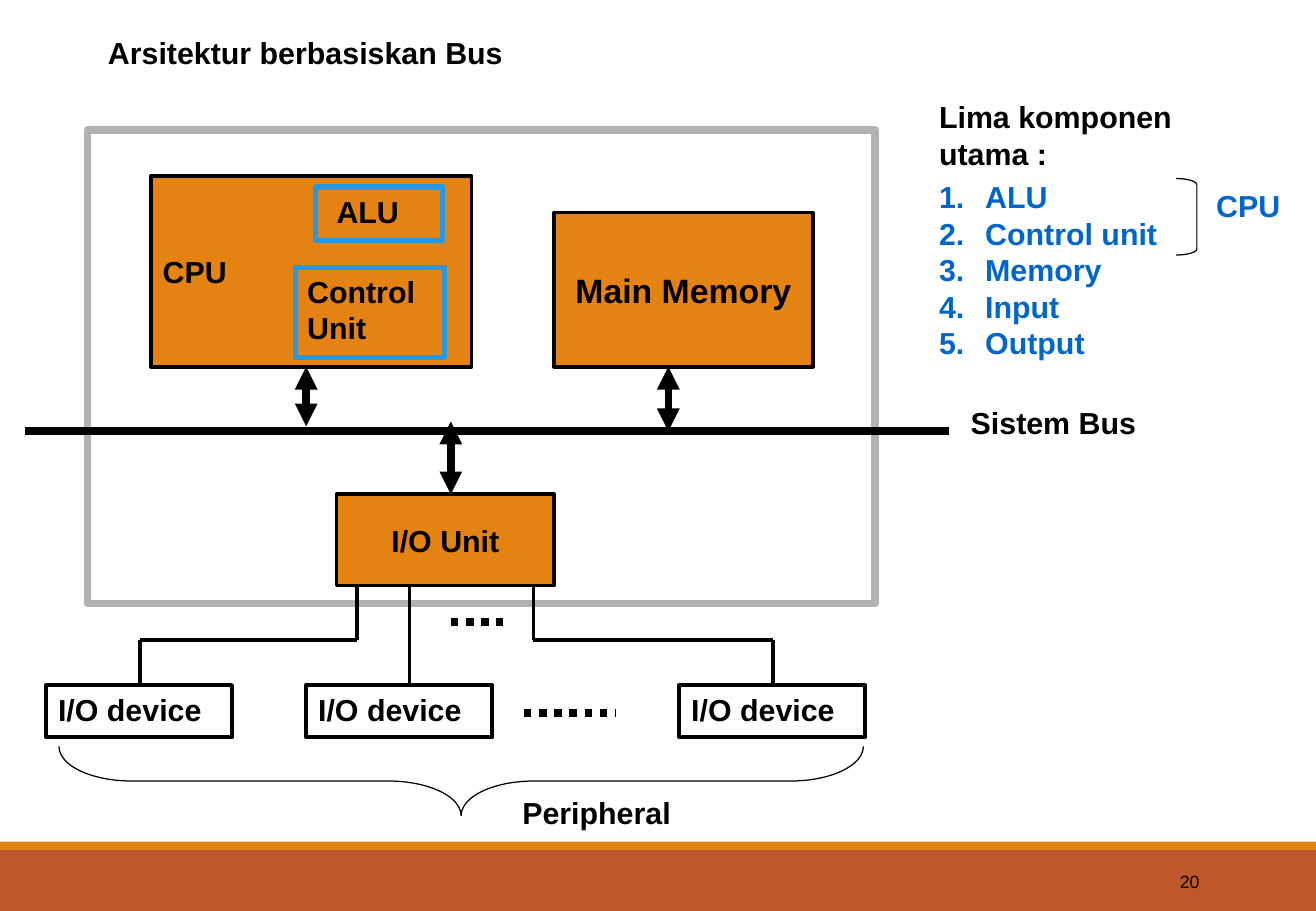
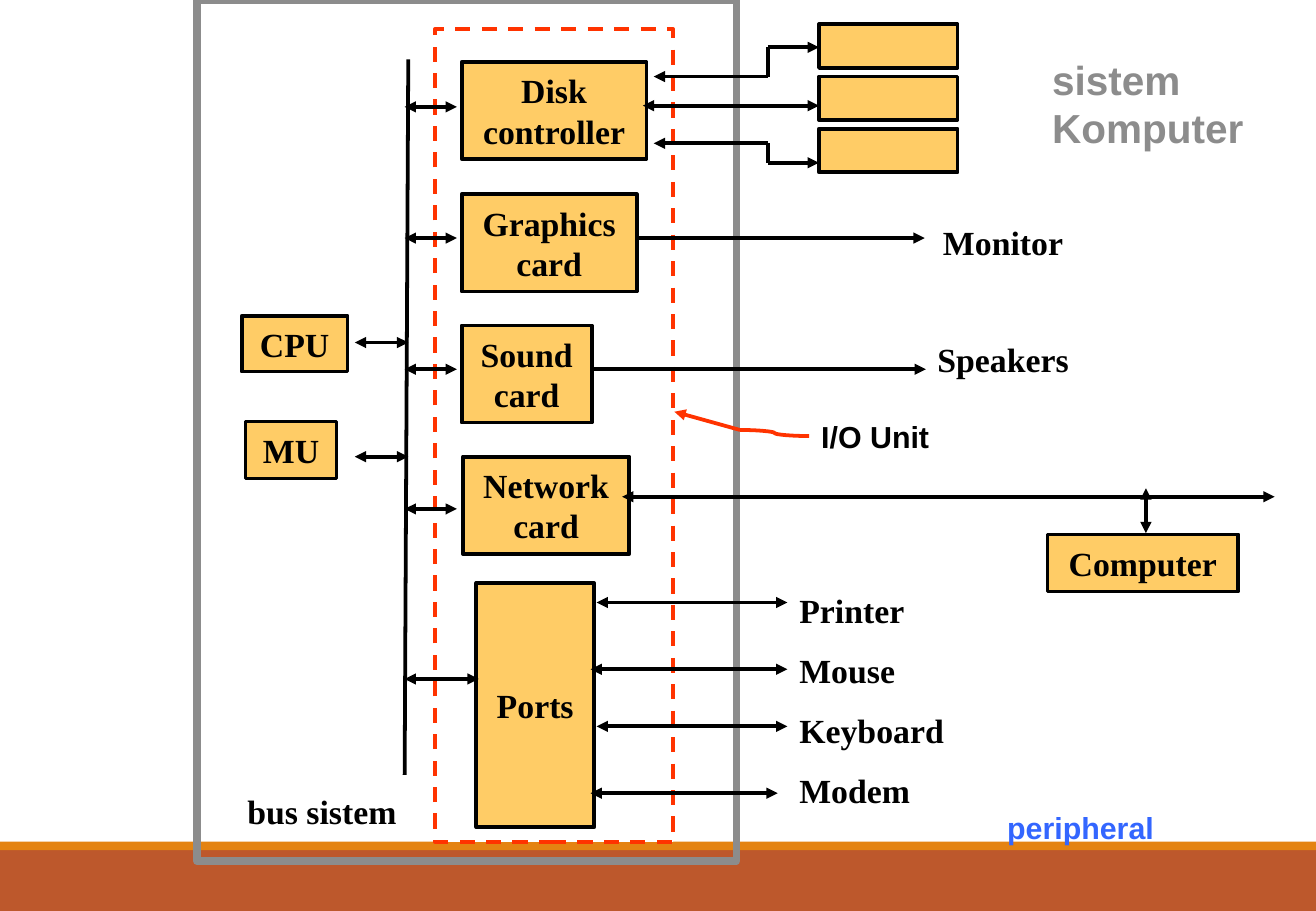
from dataclasses import dataclass
from typing import Any

from lxml.etree import SubElement
from pptx import Presentation
from pptx.dml.color import RGBColor
from pptx.enum.dml import MSO_LINE
from pptx.enum.shapes import MSO_CONNECTOR, MSO_SHAPE
from pptx.enum.text import MSO_ANCHOR, PP_ALIGN
from pptx.oxml.ns import qn
from pptx.util import Inches, Pt

BLACK = RGBColor(0x00, 0x00, 0x00)
WHITE = RGBColor(0xFF, 0xFF, 0xFF)
RUST = RGBColor(0xBD, 0x58, 0x2C)
ORANGE = RGBColor(0xE4, 0x83, 0x12)
SAND = RGBColor(0xFF, 0xCC, 0x66)
LIGHT_GRAY = RGBColor(0xB2, 0xB2, 0xB2)
GRAY = RGBColor(0x8C, 0x8C, 0x8C)
SKY = RGBColor(0x29, 0x98, 0xE3)
BLUE = RGBColor(0x00, 0x66, 0xCC)
BRIGHT_BLUE = RGBColor(0x33, 0x66, 0xFF)
RED = RGBColor(0xFF, 0x33, 0x00)

SANS = "Arial"
SERIF = "Times New Roman"
THIN, NORMAL, THICK = 0.75, 2.25, 4.5


def write(shape, paragraphs, font=SANS, size=18, color=BLACK, bold=True,
          align=PP_ALIGN.LEFT, anchor=MSO_ANCHOR.TOP, wrap=False, gap=0):
    """Fill a shape with paragraphs; gap is the space between them in points."""
    frame = shape.text_frame
    frame.word_wrap = wrap
    frame.vertical_anchor = anchor
    for index, text in enumerate(paragraphs):
        paragraph = frame.add_paragraph() if index else frame.paragraphs[0]
        paragraph.text = text
        paragraph.alignment = align
        paragraph.space_before = Pt(gap if index else 0)
        paragraph.font.name = font
        paragraph.font.size = Pt(size)
        paragraph.font.bold = bold
        paragraph.font.color.rgb = color


@dataclass
class Region:
    """Part of a slide; every position is measured from its top left corner."""
    slide: Any
    left: float
    top: float

    def place(self, x, y):
        return Inches(round(self.left + x, 2)), Inches(round(self.top + y, 2))

    def box(self, x, y, width, height, fill=None, line=BLACK, weight=NORMAL,
            kind=MSO_SHAPE.RECTANGLE):
        shape = self.slide.shapes.add_shape(
            kind, *self.place(x, y), Inches(width), Inches(height))
        shape.shadow.inherit = False
        if fill is None:
            shape.fill.background()
        else:
            shape.fill.solid()
            shape.fill.fore_color.rgb = fill
        if line is None:
            shape.line.fill.background()
        else:
            shape.line.color.rgb = line
            shape.line.width = Pt(weight)
        return shape

    def label(self, x, y, width, height, *paragraphs, **style):
        shape = self.slide.shapes.add_textbox(
            *self.place(x, y), Inches(width), Inches(height))
        write(shape, paragraphs, **style)
        return shape

    def line(self, start, end, head=False, tail=False, color=BLACK,
             weight=NORMAL, dash=None, kind=MSO_CONNECTOR.STRAIGHT):
        connector = self.slide.shapes.add_connector(
            kind, *self.place(*start), *self.place(*end))
        connector.line.color.rgb = color
        connector.line.width = Pt(weight)
        if dash is not None:
            connector.line.dash_style = dash
        outline = connector.line._get_or_add_ln()
        for wanted, tag in ((head, "a:headEnd"), (tail, "a:tailEnd")):
            if wanted:
                SubElement(outline, qn(tag), type="triangle")
        SubElement(connector._element.spPr, qn("a:effectLst"))

    def double_arrow(self, start, end, **style):
        self.line(start, end, head=True, tail=True, **style)

    def route(self, points, arrows=False):
        last = len(points) - 2
        for index, (start, end) in enumerate(zip(points, points[1:])):
            self.line(start, end, head=arrows and index == 0,
                      tail=arrows and index == last)

    def component(self, x, y, width, height, text, fill=SAND, font=SERIF, size=20):
        shape = self.box(x, y, width, height, fill)
        write(shape, [text], font=font, size=size,
              align=PP_ALIGN.CENTER, anchor=MSO_ANCHOR.MIDDLE)


def add_base_slide(presentation):
    slide = presentation.slides.add_slide(presentation.slide_layouts[6])
    footer = Region(slide, 0, 6.93)
    footer.box(0, 0.07, 10.83, 0.5, RUST, None)
    footer.box(0, 0, 10.83, 0.07, ORANGE, None)
    return slide


# Bus architecture slide
def add_computer(slide, left, top):
    region = Region(slide, left, top)
    region.box(0, 0, 6.48, 3.9, WHITE, LIGHT_GRAY, THICK)
    cpu = region.box(0.52, 0.38, 2.64, 1.57, ORANGE)
    write(cpu, ["CPU"], anchor=MSO_ANCHOR.MIDDLE, wrap=True)
    region.component(2.05, 3, 1.79, 0.75, "I/O Unit", ORANGE, SANS, 18)
    region.component(3.84, 0.68, 2.13, 1.27, "Main Memory", ORANGE, SANS)
    alu = region.box(1.88, 0.47, 1.04, 0.44, line=SKY, weight=3)
    write(alu, ["ALU"], wrap=True)
    alu.text_frame.margin_left = Inches(0.17)
    control_unit = region.box(1.71, 1.13, 1.23, 0.74, line=SKY, weight=3)
    write(control_unit, ["Control", "Unit"], wrap=True)
    # System bus and its links
    region.line((-0.51, 2.48), (7.09, 2.48), weight=THICK)
    region.label(7.17, 2.21, 1.69, 0.4, "Sistem Bus")
    for x, start, end in ((1.8, 1.95, 2.44), (2.99, 2.4, 3), (4.78, 1.95, 2.48)):
        region.double_arrow((x, start), (x, end), weight=THICK)


def add_peripherals(slide, left, top):
    region = Region(slide, left, top)
    bend, device_top = 0.45, 0.82
    for x in (0, 2.14, 5.21):
        write(region.box(x, device_top, 1.53, 0.43), ["I/O device"], wrap=True)
    for start, end in ((2.56, 0.77), (4.01, 5.98)):
        region.route([(start, 0), (start, bend), (end, bend), (end, device_top)])
    region.line((2.99, 0), (2.99, device_top))
    for start, end, y in ((3.33, 3.76, 0.3), (3.93, 4.69, 1.05)):
        region.line((start, y), (end, y), weight=THICK, dash=MSO_LINE.ROUND_DOT)
    brace = region.box(3.13, -1.7, 0.57, 6.62, weight=THIN, kind=MSO_SHAPE.LEFT_BRACE)
    brace.adjustments[0] = 1.05
    brace.rotation = 270
    region.label(3.82, 1.67, 1.54, 0.4, "Peripheral")


def add_component_list(slide, left, top):
    region = Region(slide, left, top)
    listing = region.label(0, 0, 2.3, 2.26, "Lima komponen", "utama :", "ALU",
                           "Control unit", "Memory", "Input", "Output", wrap=True)
    items = listing.text_frame.paragraphs[2:]
    items[0].line_spacing = 1.2
    for paragraph in items:
        paragraph.font.color.rgb = BLUE
        properties = paragraph._p.get_or_add_pPr()
        properties.set("marL", str(Inches(0.38)))
        properties.set("indent", str(-Inches(0.38)))
        numbering = properties.makeelement(qn("a:buAutoNum"), {"type": "arabicPeriod"})
        properties.find(qn("a:defRPr")).addprevious(numbering)
    bracket = region.box(2.05, 0.71, 0.17, 0.63, weight=THIN,
                         kind=MSO_SHAPE.RIGHT_BRACKET)
    bracket.adjustments[0] = 0.3
    region.label(2.28, 0.73, 0.79, 0.4, "CPU", color=BLUE)


def add_bus_slide(presentation):
    slide = add_base_slide(presentation)
    page = Region(slide, 0, 0)
    page.label(8.8, 7.06, 1.17, 0.4, "20", size=10.5, bold=False, wrap=True,
               align=PP_ALIGN.RIGHT, anchor=MSO_ANCHOR.MIDDLE)
    add_computer(slide, 0.72, 1.07)
    add_peripherals(slide, 0.38, 4.82)
    add_component_list(slide, 7.63, 0.76)
    page.label(0.79, 0.23, 3.74, 0.4, "Arsitektur berbasiskan Bus")


# Computer system slide
def add_system_unit(slide, left, top):
    region = Region(slide, left, top)
    io_unit = region.box(1.96, 0.24, 1.96, 6.69, WHITE, RED)
    io_unit.line.dash_style = MSO_LINE.DASH
    region.box(0, 0, 4.44, 7.09, line=GRAY, weight=THICK)
    for x, y, width, height, name in (
            (0.37, 2.6, 0.87, 0.46, "CPU"),
            (0.4, 3.47, 0.75, 0.47, "MU"),
            (2.18, 0.51, 1.52, 0.8, "Disk\ncontroller"),
            (2.18, 1.6, 1.44, 0.8, "Graphics\ncard"),
            (2.18, 2.68, 1.07, 0.8, "Sound\ncard"),
            (2.19, 3.76, 1.37, 0.8, "Network\ncard"),
            (2.3, 4.8, 0.97, 2.01, "Ports")):
        region.component(x, y, width, height, name)
    # System bus and its links
    region.line((1.74, 0.49), (1.71, 6.38))
    for start, end, rows in ((1.71, 2.14, (0.88, 1.96, 3.04, 4.19)),
                             (1.71, 2.32, (5.59,)),
                             (1.3, 1.74, (2.82, 3.76))):
        for y in rows:
            region.double_arrow((start, y), (end, y))
    region.label(0.26, 6.46, 1.54, 0.43, "bus sistem", font=SERIF, size=20,
                 align=PP_ALIGN.CENTER, anchor=MSO_ANCHOR.MIDDLE)


def add_disks(slide, left, top):
    region = Region(slide, left, top)
    for row in range(3):
        region.box(1.36, 0.43 * row, 1.14, 0.36, SAND)
    region.double_arrow((-0.09, 0.67), (1.36, 0.67))
    for start, end in ((0.43, 0.19), (0.98, 1.14)):
        region.route([(0, start), (0.94, start), (0.94, end), (1.36, end)], arrows=True)


def add_output_devices(slide, left, top):
    region = Region(slide, left, top)
    region.line((0.38, 0.2), (2.75, 0.2), tail=True)
    region.line((0.03, 1.28), (2.76, 1.28), tail=True)
    region.label(2.7, 0, 1.39, 1.43, "Monitor", "Speakers", font=SERIF, size=20,
                 align=PP_ALIGN.CENTER, anchor=MSO_ANCHOR.MIDDLE, gap=45)


def add_network(slide, left, top):
    region = Region(slide, left, top)
    region.double_arrow((0, 0.07), (5.37, 0.07))
    region.double_arrow((4.31, 0), (4.31, 0.37))
    region.component(3.5, 0.38, 1.57, 0.47, "Computer")


def add_port_devices(slide, left, top):
    region = Region(slide, left, top)
    for start, end, y in ((0.05, 1.62, 0.16), (0, 1.62, 0.71),
                          (0.05, 1.62, 1.18), (0, 1.54, 1.73)):
        region.double_arrow((start, y), (end, y))
    region.label(1.62, 0, 1.5, 1.93, "Printer", "Mouse", "Keyboard", "Modem",
                 font=SERIF, size=20, anchor=MSO_ANCHOR.MIDDLE, gap=11.5)


def add_io_callout(slide, left, top):
    region = Region(slide, left, top)
    region.label(1.11, 0, 1.18, 0.4, "I/O Unit")
    region.line((1.11, 0.2), (0.54, 0.15), color=RED, kind=MSO_CONNECTOR.CURVE)
    region.line((0.54, 0.15), (0, 0), tail=True, color=RED)


def add_system_slide(presentation):
    slide = add_base_slide(presentation)
    add_system_unit(slide, 1.62, 0)
    add_disks(slide, 5.38, 0.2)
    add_output_devices(slide, 4.86, 1.76)
    add_network(slide, 5.12, 4.02)
    add_port_devices(slide, 4.86, 4.8)
    add_io_callout(slide, 5.55, 3.39)
    page = Region(slide, 0, 0)
    page.label(8.56, 0.4, 1.92, 0.9, "sistem", "Komputer", size=24, color=GRAY)
    page.label(8.19, 6.61, 1.53, 0.4, "peripheral", color=BRIGHT_BLUE)


def main():
    presentation = Presentation()
    presentation.slide_width = Inches(10.83)
    presentation.slide_height = Inches(7.5)
    add_bus_slide(presentation)
    add_system_slide(presentation)
    presentation.save("out.pptx")


if __name__ == "__main__":
    main()
